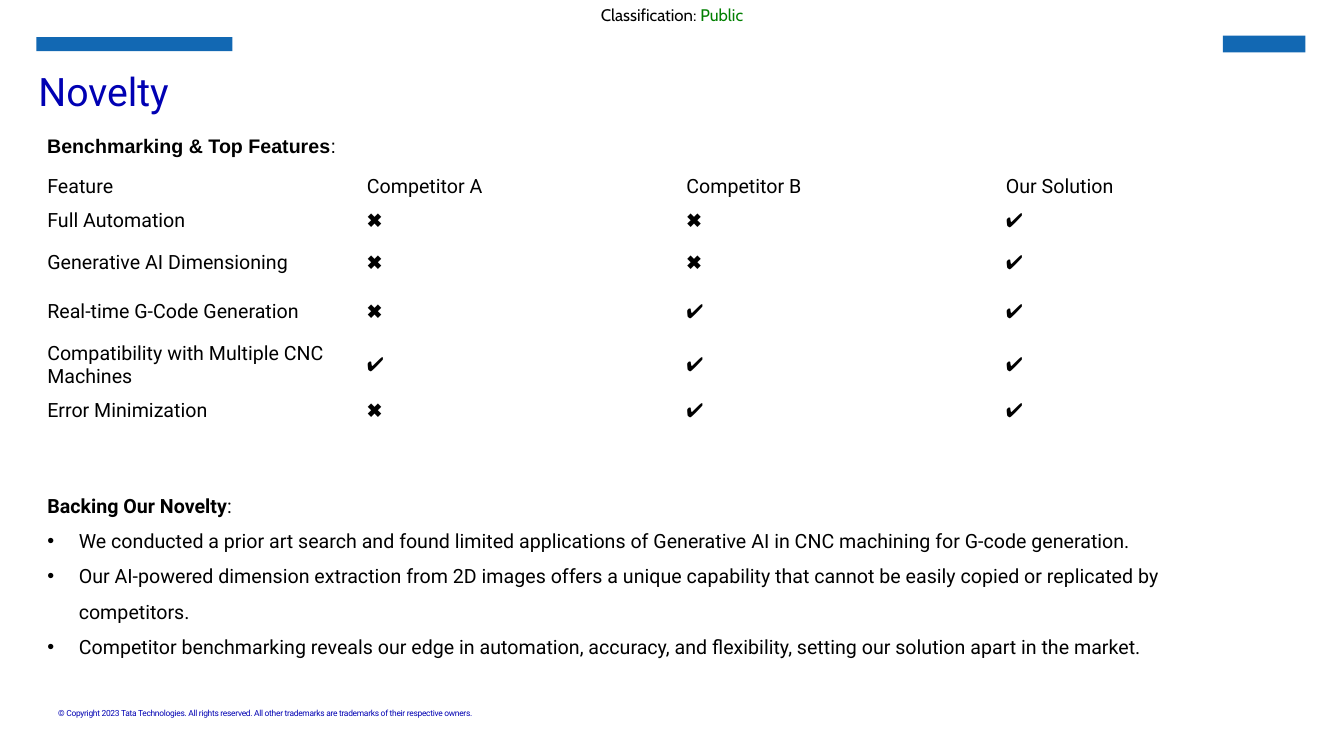
from lxml import etree
from pptx import Presentation
from pptx import util as u
from pptx.dml.color import RGBColor
from pptx.enum import shapes, text
from pptx.oxml.ns import qn

BLACK = RGBColor(0x00, 0x00, 0x00)
WHITE = RGBColor(0xFF, 0xFF, 0xFF)
NAVY = RGBColor(0x00, 0x00, 0xB3)
GREEN = RGBColor(0x00, 0x80, 0x00)
BRAND_BLUE = RGBColor(0x12, 0x68, 0xB3)

FEATURES = [
    ("Feature", "Competitor A", "Competitor B", "Our Solution"),
    ("Full Automation", "✖️", "✖️", "✔️"),
    ("Generative AI Dimensioning", "✖️", "✖️", "✔️"),
    ("Real-time G-Code Generation", "✖️", "✔️", "✔️"),
    ("Compatibility with Multiple CNC Machines", "✔️", "✔️", "✔️"),
    ("Error Minimization", "✖️", "✔️", "✔️"),
]
ROW_HEIGHTS = [20.2, 20.2, 35.3, 35.3, 35.3, 20.2]
EVIDENCE = [
    "We conducted a prior art search and found limited applications of "
    "Generative AI in CNC machining for G-code generation.",
    "Our AI-powered dimension extraction from 2D images offers a unique capability "
    "that cannot be easily copied or replicated by competitors.",
    "Competitor benchmarking reveals our edge in automation, accuracy, and flexibility, "
    "setting our solution apart in the market.",
]
COPYRIGHT = ("© Copyright 2023 Tata Technologies. All rights reserved. "
             "All other trademarks are trademarks of their respective owners.")


def add_run(paragraph, wording, size=14, font="Roboto", color=BLACK, bold=False, spacing=None):
    run = paragraph.add_run()
    run.text = wording
    run.font.size = u.Pt(size)
    run.font.name = font
    run.font.color.rgb = color
    run.font.bold = bold
    if spacing is not None:
        run.font._element.set("spc", str(round(spacing * 100)))


class NoveltySlide:
    def __init__(self, deck):
        self.slide = deck.slides.add_slide(deck.slide_layouts[1])

    def place(self, holder, left, top, width, height):
        holder.left, holder.top = u.Pt(left), u.Pt(top)
        holder.width, holder.height = u.Pt(width), u.Pt(height)
        frame = holder.text_frame
        frame.word_wrap = True
        frame.auto_size = text.MSO_AUTO_SIZE.NONE
        frame.vertical_anchor = text.MSO_ANCHOR.TOP
        return frame

    def title(self, wording, *box):
        heading = self.place(self.slide.shapes.title, *box).paragraphs[0]
        heading.alignment = text.PP_ALIGN.LEFT
        add_run(heading, wording, size=28, color=NAVY)

    def label(self, *box, anchor=text.MSO_ANCHOR.TOP, wrap=True):
        frame = self.slide.shapes.add_textbox(*map(u.Pt, box)).text_frame
        frame.word_wrap = wrap
        frame.vertical_anchor = anchor
        return frame.paragraphs[0]

    def block(self, color, *box):
        block = self.slide.shapes.add_shape(shapes.MSO_SHAPE.RECTANGLE, *map(u.Pt, box))
        block.shadow.inherit = False
        block.fill.solid()
        block.fill.fore_color.rgb = color
        block.line.fill.background()
        return block

    def table(self, rows, heights, left, top, width):
        grid = self.slide.shapes.add_table(
            len(rows), len(rows[0]), u.Pt(left), u.Pt(top), u.Pt(width), u.Pt(sum(heights))).table
        grid.first_row = grid.horz_banding = False
        for column in grid.columns:
            column.width = u.Pt(width / len(rows[0]))
        for row, height, entries in zip(grid.rows, heights, rows):
            row.height = u.Pt(height)
            for cell, entry in zip(row.cells, entries):
                cell.fill.background()
                cell.vertical_anchor = text.MSO_ANCHOR.MIDDLE
                add_run(cell.text_frame.paragraphs[0], entry)

    def body(self, heading, points, *box):
        frame = self.place(self.slide.placeholders[1], *box)
        lead = self.body_line(frame.paragraphs[0])
        add_run(lead, heading, bold=True)
        add_run(lead, ":")
        for point in points:
            add_run(self.body_line(frame.add_paragraph(), indent=22.5, bullet="•"), point)

    def body_line(self, paragraph, indent=0, bullet=None):
        props = paragraph._p.get_or_add_pPr()
        props.set("marL", str(u.Pt(indent)))
        props.set("indent", str(-u.Pt(indent)))
        if bullet:
            etree.SubElement(props, qn("a:buFont")).set("typeface", "Arial")
            etree.SubElement(props, qn("a:buChar")).set("char", bullet)
        else:
            etree.SubElement(props, qn("a:buNone"))
        paragraph.line_spacing = 1.5
        paragraph.space_before = u.Pt(0)
        return paragraph


def main():
    deck = Presentation()
    deck.slide_width, deck.slide_height = u.Pt(960), u.Pt(540)
    novelty = NoveltySlide(deck)

    novelty.block(BRAND_BLUE, 26, 26.5, 140, 10)
    novelty.block(BRAND_BLUE, 873.5, 25.5, 59, 12)
    add_run(novelty.label(34.5, 502, 480, 14.5), COPYRIGHT, size=6, color=NAVY, spacing=-0.2)

    banner = novelty.block(WHITE, 0, 0, 960, 21.6).text_frame.paragraphs[0]
    banner.alignment = text.PP_ALIGN.CENTER
    add_run(banner, "Classification: ", size=12, font="Cabin")
    add_run(banner, "Public", size=12, font="Cabin", color=GREEN)

    novelty.title("Novelty", 20.2, 44.6, 913, 41)

    benchmark = novelty.label(26.6, 91.5, 222, 24.5, anchor=text.MSO_ANCHOR.MIDDLE, wrap=False)
    add_run(benchmark, "Benchmarking & Top Features", font="Arial", bold=True)
    add_run(benchmark, ":", font="Arial")

    novelty.table(FEATURES, ROW_HEIGHTS, 26.6, 121.7, 913)
    novelty.body("Backing Our Novelty", EVIDENCE, 26.6, 340.6, 869, 132.5)
    deck.save("out.pptx")


if __name__ == "__main__":
    main()
